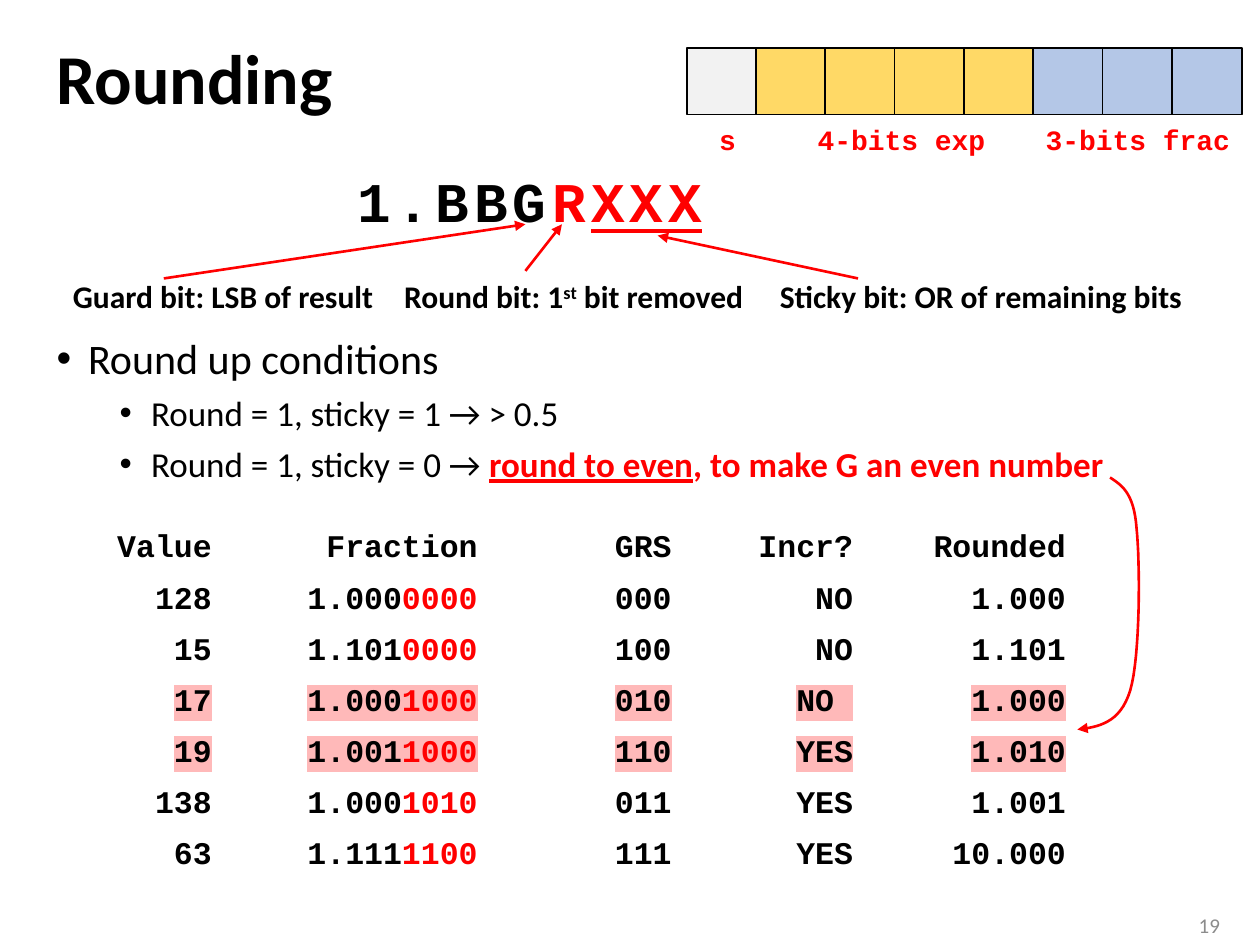
from lxml import etree
from pptx import Presentation
from pptx.dml.color import RGBColor
from pptx.enum.shapes import MSO_CONNECTOR, MSO_SHAPE
from pptx.enum.text import MSO_ANCHOR, PP_ALIGN
from pptx.oxml.ns import qn
from pptx.util import Inches, Pt

RECT = MSO_SHAPE.RECTANGLE
STRAIGHT = MSO_CONNECTOR.STRAIGHT
TOP, MIDDLE = MSO_ANCHOR.TOP, MSO_ANCHOR.MIDDLE
LEFT, RIGHT = PP_ALIGN.LEFT, PP_ALIGN.RIGHT

COLORS = {
    "black": "000000", "red": "FF0000", "gray": "8C8C8C", "pink": "FFB9B9",
    "sign": "F2F2F2", "exp": "FFD966", "frac": "B4C7E7",
}
SANS, MONO = "Calibri", "Courier New"


def rgb(name):
    return RGBColor.from_string(COLORS[name])


def add_run(p, text, size=18, font=SANS, color="black", bold=False,
            underline=False, spacing=None, baseline=None, highlight=None):
    r = p.add_run()
    r.text = text
    f = r.font
    f.size, f.bold, f.name = Pt(size), bold, font
    f.color.rgb = rgb(color)
    if underline:
        f.underline = True
    rPr = r._r.get_or_add_rPr()
    if spacing:
        rPr.set("spc", str(spacing * 100))
    if baseline:
        rPr.set("baseline", str(baseline * 1000))
    if highlight:
        mark = etree.Element(qn("a:highlight"))
        etree.SubElement(mark, qn("a:srgbClr")).set("val", COLORS[highlight])
        rPr.find(qn("a:solidFill")).addnext(mark)


def add_runs(p, runs, **style):
    for text, extra in runs:
        add_run(p, text, **{**style, **extra})


class SlideBuilder:
    """Holds the line style and the current slide, and adds each kind of element."""

    def __init__(self, slide, line_color="red", line_width=1.5):
        self.shapes = slide.shapes
        self.line_color = line_color
        self.line_width = line_width

    def text(self, box, runs, align=LEFT, anchor=TOP, wrap=True, line_spacing=None, **style):
        tf = self.shapes.add_textbox(*map(Inches, box)).text_frame
        tf.word_wrap, tf.vertical_anchor = wrap, anchor
        p = tf.paragraphs[0]
        p.alignment = align
        if line_spacing:
            p.line_spacing = line_spacing
        add_runs(p, runs, **style)
        return tf

    def bullets(self, box, items, margin_top):
        tf = self.shapes.add_textbox(*map(Inches, box)).text_frame
        tf.word_wrap, tf.margin_top = True, Inches(margin_top)
        for i, (level, runs) in enumerate(items):
            p = tf.paragraphs[0] if i == 0 else tf.add_paragraph()
            p.level = level
            if i:
                p.space_before = Pt(5)
            pPr = p._p.get_or_add_pPr()
            pPr.set("marL", str(Inches(0.25 + 0.5 * level)))
            pPr.set("indent", str(Inches(-0.25)))
            etree.SubElement(pPr, qn("a:buFont")).set("typeface", "Arial")
            etree.SubElement(pPr, qn("a:buChar")).set("char", "•")
            add_runs(p, runs, size=24 - 4 * level)

    def arrow_line(self, sp):
        sp.line.color.rgb = rgb(self.line_color)
        sp.line.width = Pt(self.line_width)
        etree.SubElement(sp.line._get_or_add_ln(), qn("a:tailEnd")).set("type", "triangle")

    def arrow(self, start, end):
        sp = self.shapes.add_connector(STRAIGHT, *map(Inches, start + end))
        self.arrow_line(sp)
        etree.SubElement(sp._element.spPr, qn("a:effectLst"))

    def curved_arrow(self, start, curves, steps=16):
        points, p0 = [], start
        for p1, p2, p3 in curves:
            for t in (i / steps for i in range(1, steps + 1)):
                u = 1 - t
                points.append(tuple(
                    Inches(u**3 * a + 3 * u * u * t * b + 3 * u * t * t * c + t**3 * d)
                    for a, b, c, d in zip(p0, p1, p2, p3)))
            p0 = p3
        builder = self.shapes.build_freeform(*map(Inches, start))
        builder.add_line_segments(points, close=False)
        sp = builder.convert_to_shape()
        sp.shadow.inherit = False
        sp.fill.background()
        self.arrow_line(sp)

    def bit(self, box, color):
        sp = self.shapes.add_shape(RECT, *map(Inches, box))
        sp.shadow.inherit = False
        sp.fill.solid()
        sp.fill.fore_color.rgb = rgb(color)
        sp.line.color.rgb = rgb("black")
        sp.line.width = Pt(1)

    def table(self, box, widths, rows, marked):
        table = self.shapes.add_table(len(rows), len(widths), *map(Inches, box)).table
        table.first_row = table.horz_banding = False
        for column, width in zip(table.columns, widths):
            column.width = Inches(width)
        for i, row in enumerate(rows):
            for j, value in enumerate(row):
                cell = table.cell(i, j)
                cell.fill.background()
                p = cell.text_frame.paragraphs[0]
                p.alignment = RIGHT
                runs = [(value, {})]
                if i and j == 1:
                    runs = [(value[:5], {}), (value[5:], {"color": "red"})]
                add_runs(p, runs, font=MONO, bold=True,
                         highlight="pink" if i in marked else None)


def main():
    prs = Presentation()
    prs.slide_width, prs.slide_height = Inches(10), Inches(7.5)
    s = SlideBuilder(prs.slides.add_slide(prs.slide_layouts[6]))

    s.text((0.35, 0.19, 9.29, 0.92), [("Rounding", {})], anchor=MIDDLE,
           line_spacing=0.9, size=40, bold=True)
    s.bullets((0.35, 1.26, 9.29, 5.83), [
        (0, [("Round up conditions", {})]),
        (1, [("Round = 1, sticky = 1 → > 0.5", {})]),
        (1, [("Round = 1, sticky = 0 → ", {}),
             ("round to even", {"color": "red", "bold": True, "underline": True}),
             (", to make G an even number", {"color": "red", "bold": True})]),
    ], margin_top=1.38)
    s.text((9.27, 7.19, 0.51, 0.31), [("19", {})], align=RIGHT, anchor=MIDDLE,
           size=12, color="gray")

    s.text((2.74, 1.27, 3.26, 0.64),
           [("1.BBG", {}), ("R", {"color": "red"}), ("XXX", {"color": "red", "underline": True})],
           size=32, font=MONO, bold=True, spacing=3)
    for left, width, runs in [
        (0.48, 2.61, [("Guard bit: LSB of result", {})]),
        (3.11, 2.93, [("Round bit: 1", {}), ("st", {"baseline": 30}), (" bit removed", {})]),
        (6.09, 3.42, [("Sticky bit: OR of remaining bits", {})]),
    ]:
        s.text((left, 2.15, width, 0.4), runs, wrap=False, bold=True)
    for start, end in [((1.3, 2.21), (4.17, 1.78)),
                       ((4.17, 2.15), (4.46, 1.78)),
                       ((6.81, 2.21), (5.22, 1.87))]:
        s.arrow(start, end)

    s.table((0.35, 4.17, 8.22, 2.84), [1.43, 2.11, 1.54, 1.44, 1.69], [
        ("Value", "Fraction", "GRS", "Incr?", "Rounded"),
        ("128", "1.0000000", "000", "NO", "1.000"),
        ("15", "1.1010000", "100", "NO", "1.101"),
        ("17", "1.0001000", "010", "NO ", "1.000"),
        ("19", "1.0011000", "110", "YES", "1.010"),
        ("138", "1.0001010", "011", "YES", "1.001"),
        ("63", "1.1111100", "111", "YES", "10.000"),
    ], marked=(3, 4))
    s.curved_arrow((8.81, 3.79), [
        ((8.9, 3.85), (9, 3.91), (9.02, 4.19)),
        ((9.05, 4.47), (9.05, 5.21), (8.97, 5.48)),
        ((8.89, 5.74), (8.72, 5.77), (8.55, 5.79)),
    ])

    for i, field in enumerate(["sign"] + ["exp"] * 4 + ["frac"] * 3):
        s.bit((5.45 + 0.55 * i, 0.38, 0.56, 0.53), field)
    for left, width, label, wrap in [(5.61, 0.24, "s", True),
                                     (6.39, 1.55, "4-bits exp", False),
                                     (8.2, 1.69, "3-bits frac", False)]:
        s.text((left, 0.92, width, 0.37), [(label, {})], wrap=wrap,
               size=16, font=MONO, color="red", bold=True)

    prs.save("out.pptx")


if __name__ == "__main__":
    main()
